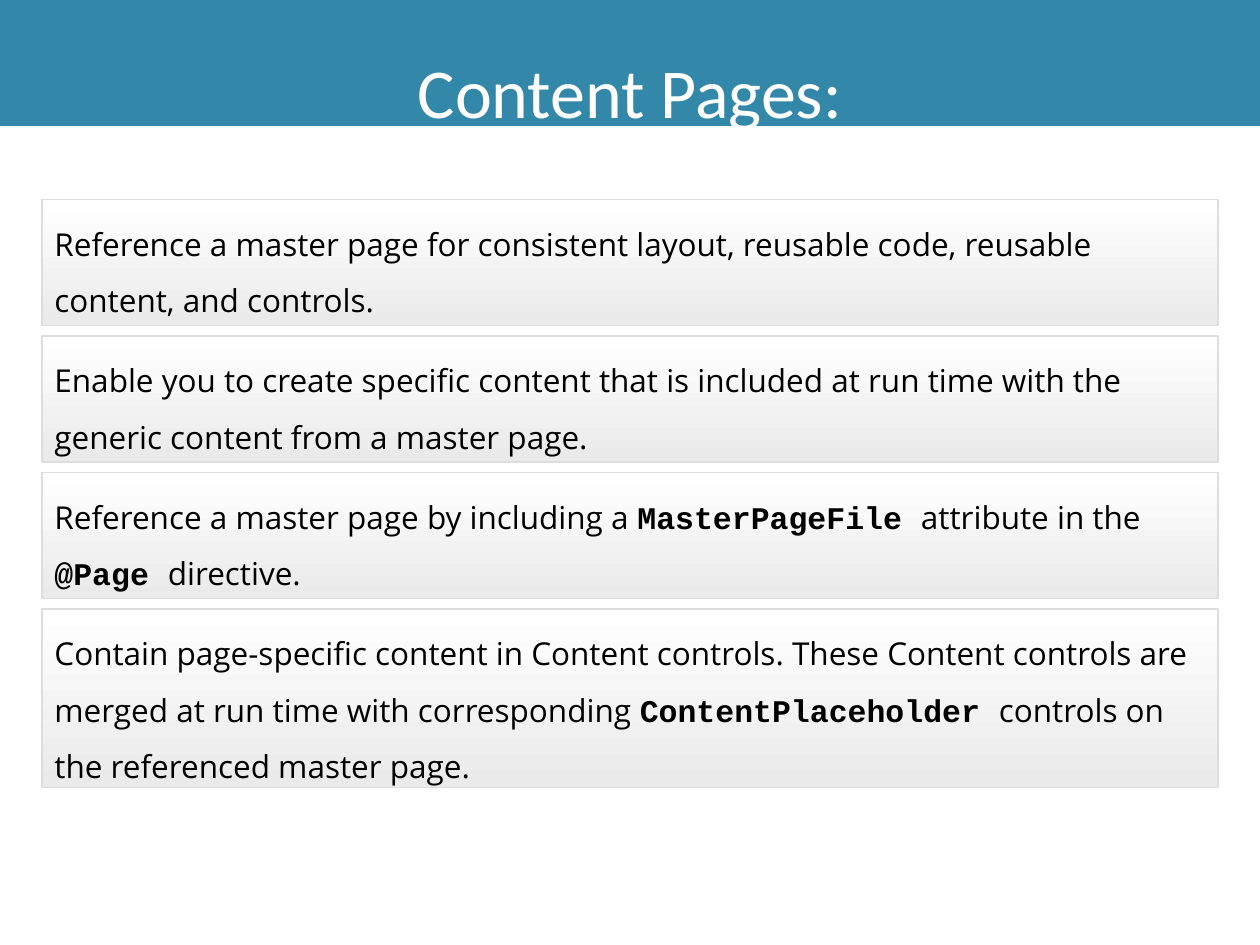
from pptx import Presentation
from pptx import util as u
from pptx.dml.color import RGBColor
from pptx.enum import shapes, text

TEAL = RGBColor(0x33, 0x88, 0xA9)
WHITE = RGBColor(0xFF, 0xFF, 0xFF)
BLACK = RGBColor(0, 0, 0)
PALE_GREY = RGBColor(0xEA, 0xEA, 0xEA)
BORDER_GREY = RGBColor(0xDD, 0xDD, 0xDD)

# Each statement is a list of runs that alternate between prose and code.
STATEMENTS = [
    ["Reference a master page for consistent layout, reusable code, "
     "reusable content, and controls."],
    ["Enable you to create specific content that is included at run time "
     "with the generic content from a master page."],
    ["Reference a master page by including a ", "MasterPageFile ",
     "attribute in the ", "@Page ", "directive."],
    ["Contain page-specific content in Content controls. These Content "
     "controls are merged at run time with corresponding ",
     "ContentPlaceholder ", "controls on the referenced master page."],
]

deck = Presentation()
deck.slide_width, deck.slide_height = u.Inches(10), u.Inches(7.5)
slide = deck.slides.add_slide(deck.slide_layouts[6])
COLUMN = deck.slide_width // 30
ROW = deck.slide_height // 90


def add_panel(left, top, width, height):
    """Add a flat rectangle with top-anchored text, measured in grid units."""
    panel = slide.shapes.add_shape(
        shapes.MSO_SHAPE.RECTANGLE,
        left * COLUMN, top * ROW, width * COLUMN, height * ROW)
    panel.shadow.inherit = False
    panel.text_frame.word_wrap = True
    panel.text_frame.vertical_anchor = text.MSO_ANCHOR.TOP
    return panel


def style_paragraph(paragraph, size, color, alignment):
    """Set the settings that all runs of a paragraph share."""
    paragraph.alignment = alignment
    paragraph.line_spacing = 1.5
    paragraph.font.size = u.Pt(size)
    paragraph.font.color.rgb = color


banner = add_panel(0, 0, 30, 12)
banner.fill.solid()
banner.fill.fore_color.rgb = TEAL
banner.line.fill.background()
heading = banner.text_frame.paragraphs[0]
heading.text = "Content Pages:"
style_paragraph(heading, 40, WHITE, text.PP_ALIGN.CENTER)
heading.font.name = "Calibri"

top = 19
for statement, height in zip(STATEMENTS, [12, 12, 12, 17]):
    card = add_panel(1, top, 28, height)
    top += height + 1
    card.fill.gradient()
    card.fill.gradient_angle = 270
    for stop, color, position in zip(
            card.fill.gradient_stops, [WHITE, PALE_GREY], [0, 1]):
        stop.color.rgb = color
        stop.position = position
    card.line.color.rgb = BORDER_GREY
    card.line.width = u.Pt(1)

    sentence = card.text_frame.paragraphs[0]
    style_paragraph(sentence, 18, BLACK, text.PP_ALIGN.LEFT)
    for index, words in enumerate(statement):
        is_code = index % 2 == 1
        piece = sentence.add_run()
        piece.text = words
        piece.font.name = "Courier New" if is_code else "Open Sans"
        piece.font.bold = is_code

deck.save("out.pptx")
